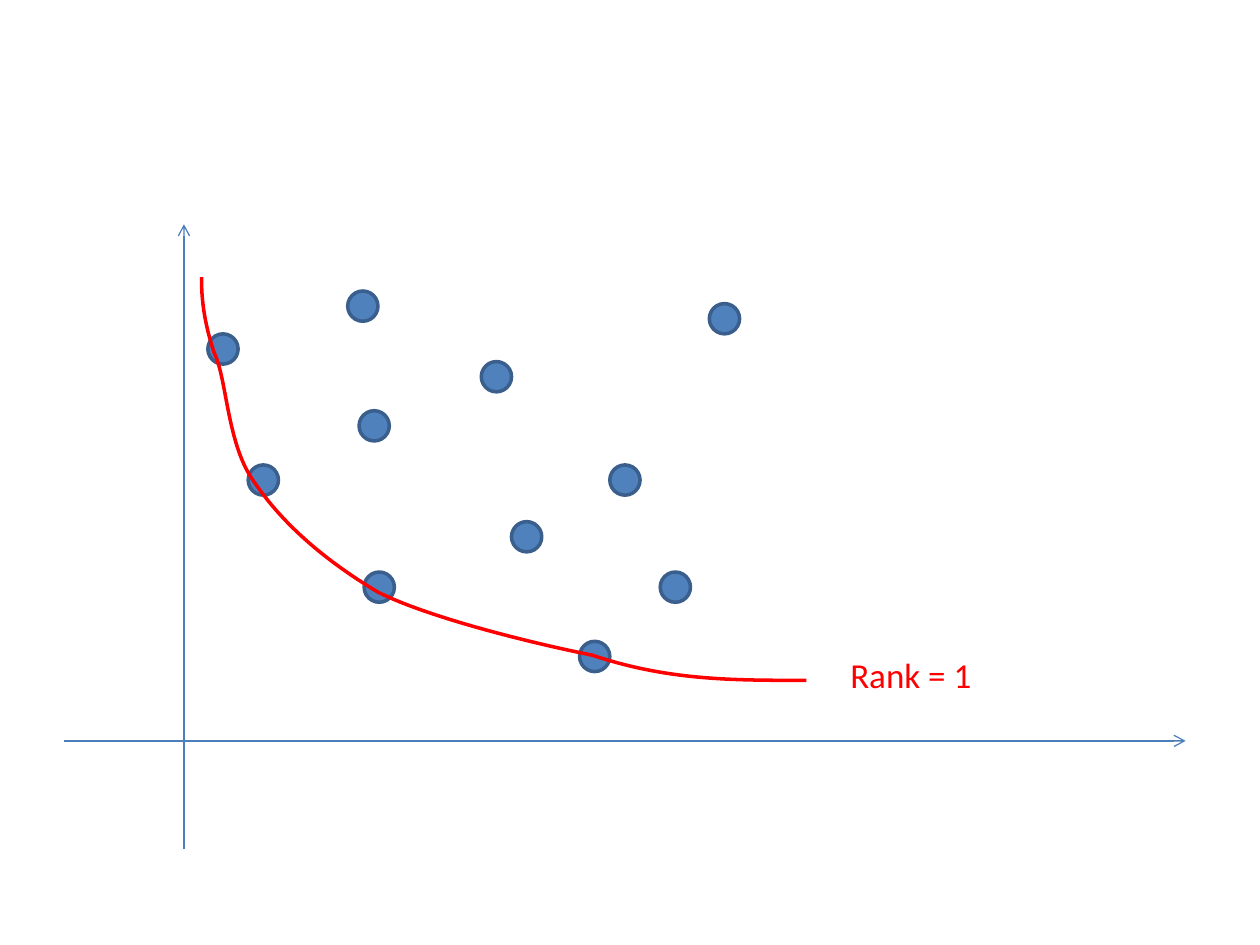
import dataclasses
import typing

import lxml.etree
import pptx
import pptx.dml.color
import pptx.enum.shapes
import pptx.enum.text
import pptx.oxml.ns
import pptx.util

COLUMNS, ROWS = 100, 75
CELL = pptx.util.Inches(0.1)


@dataclasses.dataclass(frozen=True)
class Theme:
    axis: str = "4B7EBC"
    dot: str = "4F81BD"
    dot_edge: str = "3A5F8C"
    front: str = "FF0000"
    font: str = "Calibri"
    label_size: float = 20
    axis_width: float = 0.75
    edge_width: float = 2


class Spot(typing.NamedTuple):
    column: float
    row: float


class Axis(typing.NamedTuple):
    start: Spot
    end: Spot


THEME = Theme()
DOT_SIZE = 2.4
AXES = [
    Axis(Spot(14.6, 67.4), Spot(14.6, 17.8)),
    Axis(Spot(5.1, 58.8), Spot(94.1, 58.8)),
]
SOLUTIONS = [
    Spot(16.5, 26.5), Spot(40.6, 41.4), Spot(19.7, 36.9), Spot(46, 50.9),
    Spot(28.9, 45.4), Spot(48.4, 36.9), Spot(27.6, 23.1), Spot(52.4, 45.4),
    Spot(28.5, 32.6), Spot(38.2, 28.7), Spot(56.3, 24.1),
]
FRONT_START = Spot(16.2, 21.8)
FRONT_CONTROLS = [
    Spot(16.3, 23.4), Spot(16.5, 25), Spot(17.2, 27.7),
    Spot(17.8, 30.4), Spot(18.1, 34.8), Spot(20.2, 38),
    Spot(22.3, 41.2), Spot(25.3, 44.4), Spot(29.8, 46.8),
    Spot(34.4, 49.2), Spot(41.7, 51.2), Spot(47.3, 52.3),
    Spot(52.9, 53.5), Spot(58.2, 53.6), Spot(63.5, 53.7),
]


def cells(count: float) -> int:
    return round(count * CELL)


def rgb(color: str) -> pptx.dml.color.RGBColor:
    return pptx.dml.color.RGBColor.from_string(color)


def set_line(line, color: str, width: float) -> None:
    line.color.rgb = rgb(color)
    line.width = pptx.util.Pt(width)


def draw_axis(shapes, axis: Axis) -> None:
    arrow = shapes.add_connector(
        pptx.enum.shapes.MSO_CONNECTOR.STRAIGHT,
        *(cells(length) for length in (*axis.start, *axis.end)),
    )
    set_line(arrow.line, THEME.axis, THEME.axis_width)
    properties = arrow.element.spPr
    lxml.etree.SubElement(
        arrow.line._get_or_add_ln(), pptx.oxml.ns.qn("a:tailEnd"), type="arrow"
    )
    lxml.etree.SubElement(properties, pptx.oxml.ns.qn("a:effectLst"))


def draw_solution(shapes, spot: Spot) -> None:
    dot = shapes.add_shape(
        pptx.enum.shapes.MSO_SHAPE.OVAL,
        *(cells(length) for length in (*spot, DOT_SIZE, DOT_SIZE)),
    )
    dot.shadow.inherit = False
    dot.fill.solid()
    dot.fill.fore_color.rgb = rgb(THEME.dot)
    set_line(dot.line, THEME.dot_edge, THEME.edge_width)


def draw_front(shapes, start: Spot, controls: list[Spot]) -> None:
    builder = shapes.build_freeform(*start, scale=float(CELL))
    builder.add_line_segments(controls, close=False)
    front = builder.convert_to_shape()
    front.shadow.inherit = False
    front.fill.background()
    set_line(front.line, THEME.front, THEME.edge_width)
    segments = list(front.element.iter(pptx.oxml.ns.qn("a:lnTo")))
    outline = segments[0].getparent()
    for first in range(0, len(segments), 3):
        curve = lxml.etree.SubElement(outline, pptx.oxml.ns.qn("a:cubicBezTo"))
        for segment in segments[first:first + 3]:
            curve.append(segment[0])
            outline.remove(segment)


def draw_label(shapes, spot: Spot, width: float, height: float, wording: str) -> None:
    label = shapes.add_textbox(*(cells(length) for length in (*spot, width, height)))
    frame_format = {
        "word_wrap": True,
        "auto_size": pptx.enum.text.MSO_AUTO_SIZE.SHAPE_TO_FIT_TEXT,
    }
    for attribute, setting in frame_format.items():
        setattr(label.text_frame, attribute, setting)
    run = label.text_frame.paragraphs[0].add_run()
    run.text = wording
    font_format = {"name": THEME.font, "size": pptx.util.Pt(THEME.label_size)}
    for attribute, setting in font_format.items():
        setattr(run.font, attribute, setting)
    run.font.color.rgb = rgb(THEME.front)


def main() -> None:
    deck = pptx.Presentation()
    deck.slide_width, deck.slide_height = cells(COLUMNS), cells(ROWS)
    shapes = deck.slides.add_slide(deck.slide_layouts[6]).shapes
    for axis in AXES:
        draw_axis(shapes, axis)
    for spot in SOLUTIONS:
        draw_solution(shapes, spot)
    draw_front(shapes, FRONT_START, FRONT_CONTROLS)
    draw_label(shapes, Spot(66.5, 51.4), 17.3, 4.4, "Rank = 1")
    deck.save("out.pptx")


if __name__ == "__main__":
    main()
